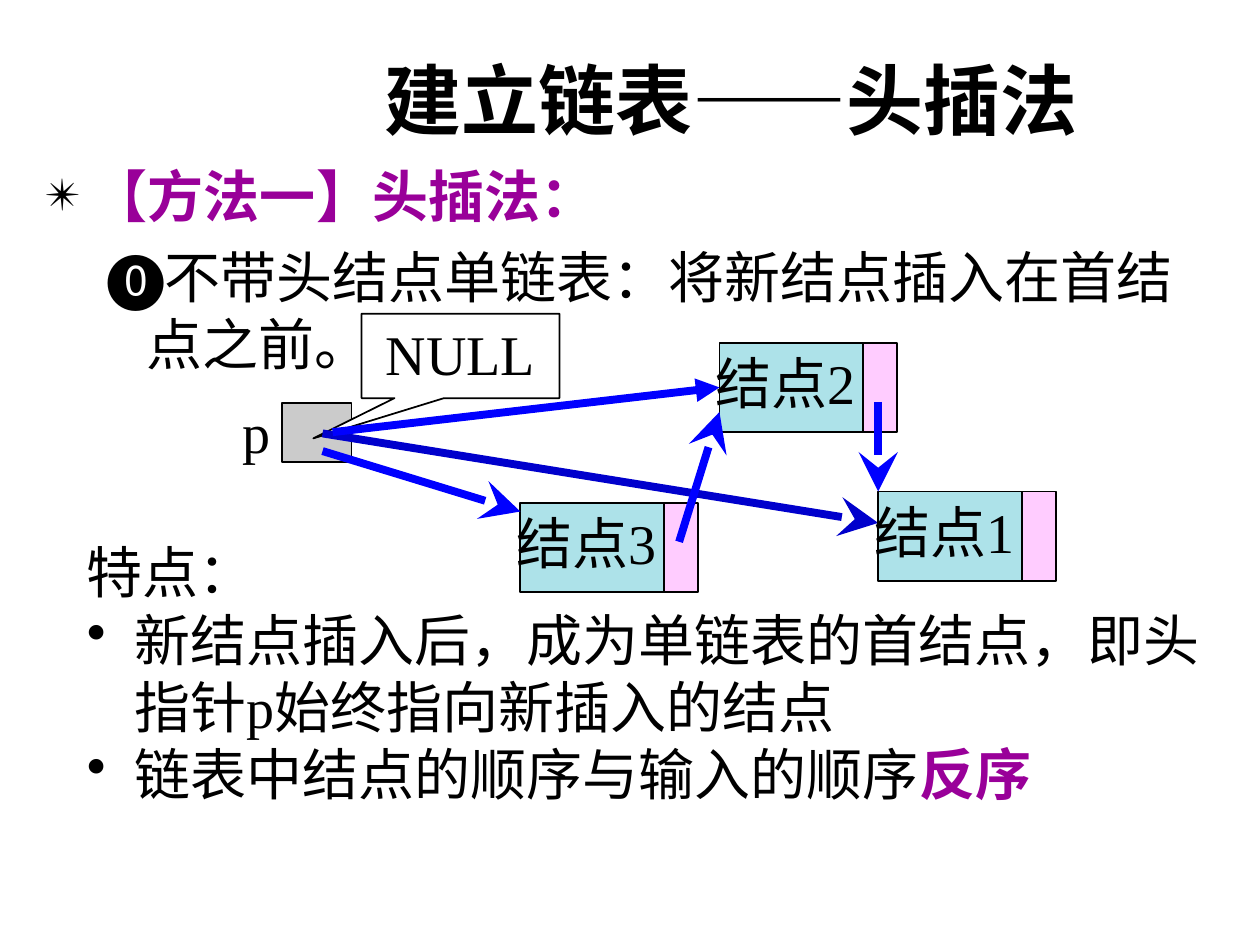
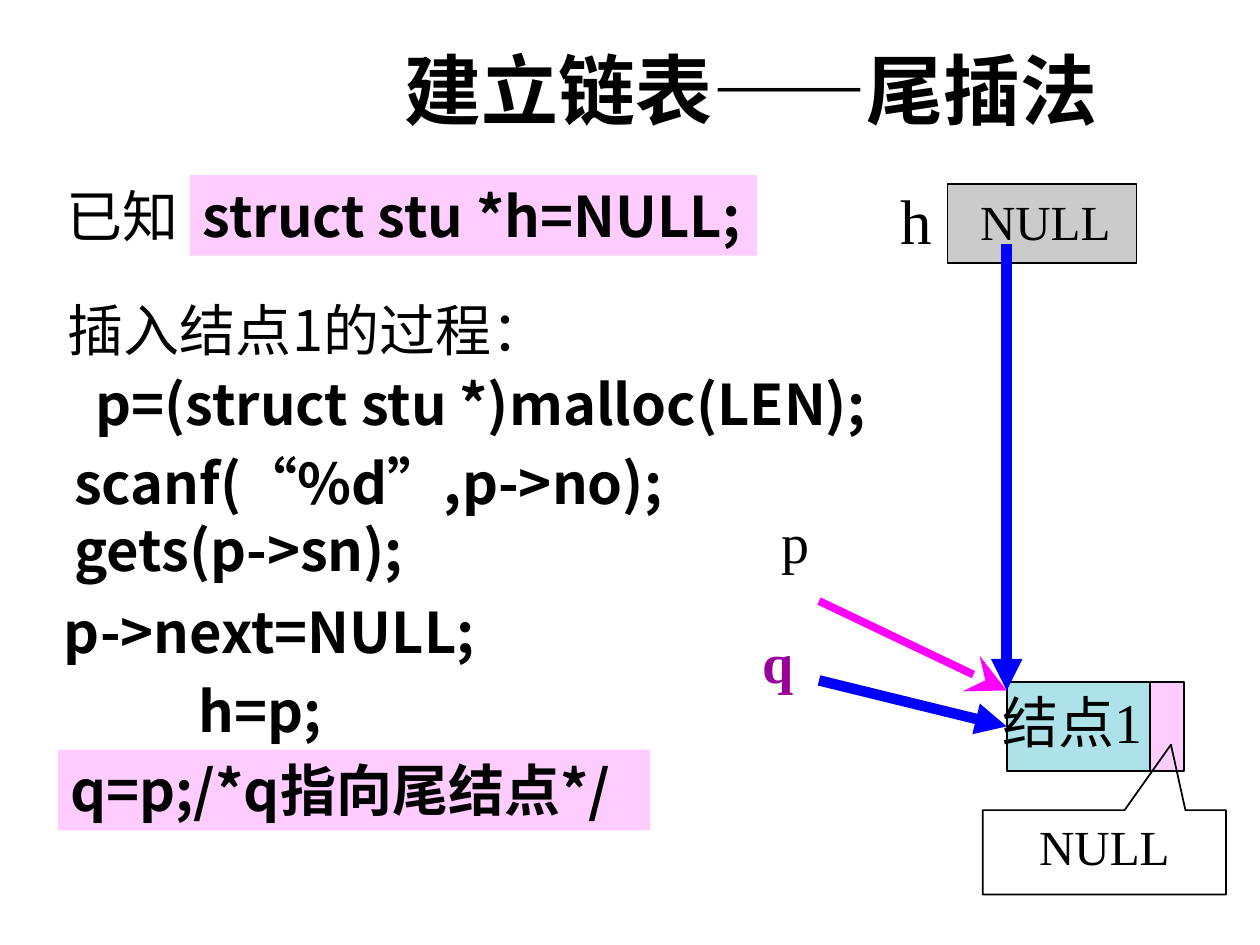
from dataclasses import dataclass

from lxml import etree
from pptx import Presentation
from pptx.dml.color import RGBColor
from pptx.enum.shapes import MSO_CONNECTOR, MSO_SHAPE
from pptx.enum.text import MSO_ANCHOR, MSO_AUTO_SIZE, PP_ALIGN
from pptx.oxml.ns import qn
from pptx.util import Inches, Pt

RECTANGLE = MSO_SHAPE.RECTANGLE
CALLOUT = MSO_SHAPE.RECTANGULAR_CALLOUT
STRAIGHT = MSO_CONNECTOR.STRAIGHT
LEFT, CENTER = PP_ALIGN.LEFT, PP_ALIGN.CENTER
TOP, MIDDLE = MSO_ANCHOR.TOP, MSO_ANCHOR.MIDDLE
FIT_SHAPE, NO_FIT = MSO_AUTO_SIZE.SHAPE_TO_FIT_TEXT, MSO_AUTO_SIZE.NONE
LEFT_SIDE = 1

SERIF, SANS = "Times New Roman", "Noto Sans CJK SC"
HEAD_SIZES = {"stealth": "lg", "triangle": "med"}
COLORS = {
    "text": "000000",
    "accent": "990099",
    "pointer": "CBCBCB",
    "data": "ADE2E9",
    "next": "FFCCFF",
    "white": "FFFFFF",
    "blue": "0000FF",
    "dark_blue": "0000CC",
    "magenta": "FF00FF",
}
DATA_WIDTH, NEXT_WIDTH, NODE_HEIGHT = 1.14, 0.27, 0.71


@dataclass
class Arrow:
    start: tuple[float, float]
    end: tuple[float, float]
    color: str = "blue"
    width: float = 4.5
    head: str = "stealth"
    target: object = None  # shape whose left side the arrow joins


@dataclass
class Callout:
    box: tuple[float, float, float, float]
    tip: tuple[float, float]
    size: int
    fill: str | None = None


@dataclass
class Label:
    box: tuple[float, float, float, float]
    lines: tuple[str, ...]
    font: str = SANS
    size: int = 32
    bold: bool = True
    color: str = "text"
    fill: str | None = None


def rgb(name: str) -> RGBColor:
    return RGBColor.from_string(COLORS[name])


def add_run(paragraph, text: str, *, font=SERIF, size=32, color="text", bold=False):
    """Add a run whose Chinese characters are always set in the sans font."""
    run = paragraph.add_run()
    run.text = text
    run.font.name = font
    run.font.size = Pt(size)
    run.font.bold = bold
    run.font.color.rgb = rgb(color)
    properties = run.font._element
    properties.set("lang", "zh-CN")
    latin = properties.find(qn("a:latin"))
    latin.addnext(etree.Element(qn("a:ea"), typeface=SANS))


def set_bullet(paragraph, bullet: str, margin: float, hanging: float, percent: int):
    properties = paragraph._p.get_or_add_pPr()
    properties.set("marL", str(Inches(margin)))
    properties.set("indent", str(-Inches(hanging)))
    color = etree.SubElement(properties, qn("a:buClr"))
    etree.SubElement(color, qn("a:srgbClr"), val=COLORS["text"])
    etree.SubElement(properties, qn("a:buSzPct"), val=str(percent * 1000))
    etree.SubElement(properties, qn("a:buChar"), char=bullet)


def write(frame, text: str, *, align=LEFT, before=0, level=0, bullet=None,
          margin=0.38, hanging=0.38, percent=100, **run_format):
    """Fill the frame's empty first paragraph, or add one after its text."""
    paragraph = frame.add_paragraph() if frame.text else frame.paragraphs[0]
    if bullet:
        set_bullet(paragraph, bullet, margin, hanging, percent)
    paragraph.level = level
    paragraph.alignment = align
    paragraph.space_before = Pt(before)
    add_run(paragraph, text, **run_format)
    return paragraph


def place(shape, box: tuple[float, float, float, float]):
    shape.left, shape.top, shape.width, shape.height = map(Inches, box)


def add_slide(presentation, layout: int, title: str, left: float, top: float):
    slide = presentation.slides.add_slide(presentation.slide_layouts[layout])
    place(slide.shapes.title, (left, top, 6.69, 0.85))
    frame = slide.shapes.title.text_frame
    frame.auto_size = NO_FIT
    frame.vertical_anchor = MIDDLE
    write(frame, title, size=44, bold=True)
    return slide


def add_box(shapes, box, fill: str | None, kind=RECTANGLE):
    shape = shapes.add_shape(kind, *map(Inches, box))
    shape.shadow.inherit = False
    if fill:
        shape.fill.solid()
        shape.fill.fore_color.rgb = rgb(fill)
    else:
        shape.fill.background()
    shape.line.color.rgb = rgb("text")
    shape.line.width = Pt(1)
    return shape


def add_label(shapes, label: Label):
    text_box = shapes.add_textbox(*map(Inches, label.box))
    if label.fill:
        text_box.fill.solid()
        text_box.fill.fore_color.rgb = rgb(label.fill)
    frame = text_box.text_frame
    frame.word_wrap = False
    frame.auto_size = FIT_SHAPE
    for line in label.lines:
        write(frame, line, font=label.font, size=label.size,
              bold=label.bold, color=label.color)


def add_pointer(slide, box, label: Label):
    """Draw a named pointer variable: its cell and its name."""
    group = slide.shapes.add_group_shape()
    add_box(group.shapes, box, "pointer")
    add_label(group.shapes, label)


def add_node(slide, name: str, left: float, top: float):
    """Draw a list node and return its data cell."""
    shapes = slide.shapes.add_group_shape().shapes
    data_cell = add_box(shapes, (left, top, DATA_WIDTH, NODE_HEIGHT), "data")
    add_box(shapes, (left + DATA_WIDTH, top, NEXT_WIDTH, NODE_HEIGHT), "next")
    add_label(shapes, Label((left - 0.13, top, 1.42, 0.64), (name,), SERIF, bold=False))
    return data_cell


def add_callout(slide, callout: Callout):
    shape = add_box(slide.shapes, callout.box, callout.fill, CALLOUT)
    shape.adjustments[0], shape.adjustments[1] = callout.tip
    frame = shape.text_frame
    frame.word_wrap = True
    frame.vertical_anchor = TOP
    write(frame, "NULL", align=CENTER, size=callout.size)


def add_arrow(slide, arrow: Arrow):
    points = map(Inches, (*arrow.start, *arrow.end))
    connector = slide.shapes.add_connector(STRAIGHT, *points)
    if arrow.target is not None:
        connector.end_connect(arrow.target, LEFT_SIDE)
    connector.line.color.rgb = rgb(arrow.color)
    connector.line.width = Pt(arrow.width)
    head_size = HEAD_SIZES[arrow.head]
    etree.SubElement(connector.get_or_add_ln(), qn("a:tailEnd"),
                     type=arrow.head, w=head_size, len=head_size)
    etree.SubElement(connector._element.spPr, qn("a:effectLst"))


def build_head_insertion(presentation):
    slide = add_slide(presentation, 1, "建立链表——头插法", 2.95, 0.36)
    body = slide.placeholders[1]
    place(body, (0.25, 1.23, 9.48, 3.07))
    frame = body.text_frame
    frame.auto_size = NO_FIT
    write(frame, "【方法一】头插法：", bullet="✴", percent=80,
          font=SANS, color="accent", bold=True)
    write(frame, "不带头结点单链表：将新结点插入在首结点之前。", before=8, level=1,
          bullet="⓿", margin=0.81, hanging=0.31, font=SANS)

    add_pointer(slide, (2.24, 3.2, 0.55, 0.47),
                Label((1.83, 3.11, 0.42, 0.64), ("p",), SERIF, bold=False))
    add_callout(slide, Callout((2.87, 2.49, 1.57, 0.67), (-0.744, 0.977), 32, "white"))
    add_arrow(slide, Arrow((2.56, 3.44), (6.97, 4.15), "dark_blue"))
    add_node(slide, "结点1", 6.97, 3.9)
    second_node = add_node(slide, "结点2", 5.71, 2.72)
    add_arrow(slide, Arrow((2.64, 3.43), (5.71, 3.03), head="triangle", target=second_node))
    add_arrow(slide, Arrow((6.97, 3.19), (6.97, 3.9)))
    add_node(slide, "结点3", 4.13, 3.99)
    add_arrow(slide, Arrow((2.56, 3.58), (4.13, 4.06)))
    add_arrow(slide, Arrow((5.39, 4.3), (5.71, 3.27)))

    features = slide.shapes.add_textbox(*map(Inches, (0.59, 4.22, 9.05, 2.24))).text_frame
    features.word_wrap = True
    features.auto_size = FIT_SHAPE
    write(features, "特点：")
    write(features, "新结点插入后，成为单链表的首结点，即头指针p始终指向新插入的结点", bullet="•")
    order = write(features, "链表中结点的顺序与输入的顺序", bullet="•")
    add_run(order, "反序", color="accent", bold=True)


def build_tail_insertion(presentation):
    slide = add_slide(presentation, 5, "建立链表——尾插法", 3.11, 0.28)
    add_pointer(slide, (7.52, 1.46, 1.5, 0.63),
                Label((7.05, 1.39, 0.45, 0.7), ("h",), SERIF, 36, False))
    labels = [
        Label((0.43, 1.39, 1.09, 0.64), ("已知",), SERIF, bold=False),
        Label((1.51, 1.39, 4.5, 0.64), ("struct stu *h=NULL;",), fill="next"),
        Label((0.44, 2.3, 4.42, 0.64), ("插入结点1的过程：",), bold=False),
        Label((0.66, 2.88, 6.34, 0.64), ("p=(struct stu *)malloc(LEN);",)),
        Label((0.49, 3.51, 4.87, 1.17), ("scanf(“%d”,p->no);", "gets(p->sn);")),
        Label((0.41, 4.69, 3.47, 0.64), ("p->next=NULL;",)),
        Label((1.48, 5.32, 3.12, 0.64), ("h=p;",)),
        Label((0.46, 5.95, 4.7, 0.64), ("q=p;/*q指向尾结点*/",), fill="next"),
        Label((7.68, 1.47, 1.32, 0.57), ("NULL",), SERIF, 28, False),
        Label((6.1, 3.98, 0.42, 0.64), ("p",), SERIF, bold=False),
        Label((5.95, 4.93, 0.45, 0.64), ("q",), SERIF, color="accent"),
    ]
    for label in labels:
        add_label(slide.shapes, label)

    node = add_node(slide, "结点1", 7.99, 5.41)
    add_arrow(slide, Arrow((7.99, 1.94), (7.99, 5.48), width=6, head="triangle"))
    add_arrow(slide, Arrow((6.5, 4.77), (7.99, 5.48), "magenta"))
    add_callout(slide, Callout((7.8, 6.43, 1.93, 0.67), (0.274, -1.276), 28))
    add_arrow(slide, Arrow((6.5, 5.4), (7.99, 5.8), width=6, head="triangle", target=node))


def main():
    presentation = Presentation()
    presentation.slide_width, presentation.slide_height = Inches(10), Inches(7.5)
    build_head_insertion(presentation)
    build_tail_insertion(presentation)
    presentation.save("out.pptx")


if __name__ == "__main__":
    main()
